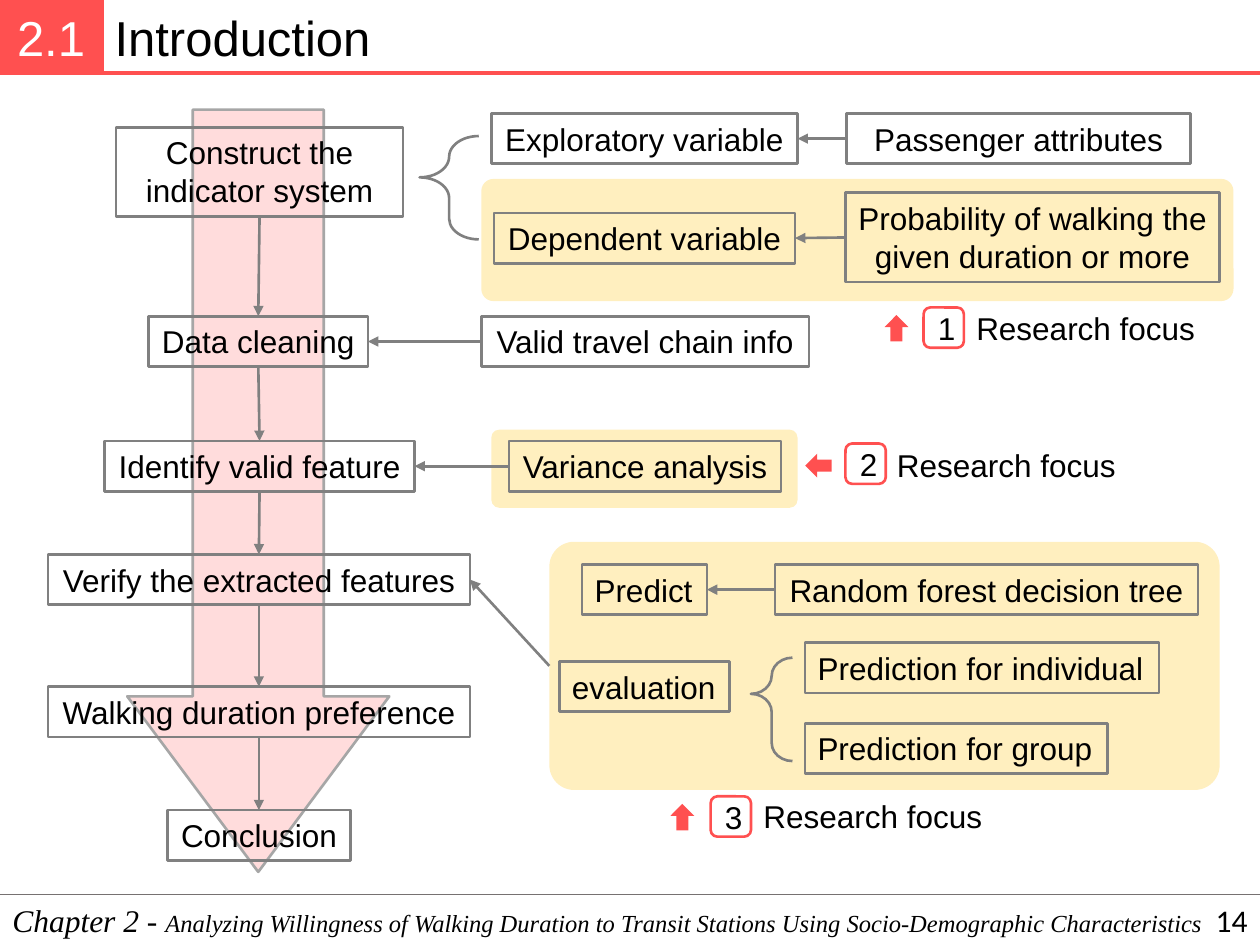
from dataclasses import dataclass

from lxml.etree import SubElement
from pptx import Presentation
from pptx.dml.color import RGBColor
from pptx.enum.shapes import MSO_CONNECTOR, MSO_SHAPE
from pptx.enum.text import MSO_ANCHOR, MSO_AUTO_SIZE, PP_ALIGN
from pptx.oxml.ns import qn
from pptx.util import Emu, Pt

EMU_PER_PX = 9144
TOP, LEFT, BOTTOM, RIGHT = range(4)


@dataclass(frozen=True)
class Theme:
    """Colours, fonts and type sizes of the slide."""
    accent: str = "FF5050"
    highlight: str = "FFC000"
    frame: str = "808080"
    arrow_edge: str = "A6A6A6"
    footer_rule: str = "767171"
    ink: str = "000000"
    paper: str = "FFFFFF"
    sans: str = "Arial"
    serif: str = "Times New Roman"
    number: str = "Calibri"
    heading: int = 28
    body: int = 18
    small: int = 14


THEME = Theme()


@dataclass(frozen=True)
class Area:
    """A rectangle in px, 100 px to the inch."""
    left: int
    top: int
    width: int
    height: int

    def emu(self):
        """Return the rectangle in EMU."""
        return [px(v) for v in (self.left, self.top, self.width, self.height)]


@dataclass(frozen=True)
class Step:
    """A framed box of the flow chart."""
    label: str
    area: Area
    align: PP_ALIGN = PP_ALIGN.CENTER


@dataclass(frozen=True)
class Focus:
    """A numbered research focus with its pointer."""
    number: str
    pointer: Area
    rotation: int
    badge: Area
    caption: Area


def px(value: int) -> Emu:
    """Turn px into EMU."""
    return Emu(value * EMU_PER_PX)


def rgb(color: str) -> RGBColor:
    """Return a colour object."""
    return RGBColor.from_string(color)


def add_run(paragraph, text: str, size=THEME.body, font=THEME.sans, color=THEME.ink, italic=None):
    """Append one formatted run."""
    run = paragraph.add_run()
    run.text = text
    run.font.size, run.font.name, run.font.italic = Pt(size), font, italic
    run.font.color.rgb = rgb(color)


def prepare_text(shape, align=PP_ALIGN.LEFT, anchor=MSO_ANCHOR.TOP, wrap=True):
    """Set up a text frame and return its first paragraph."""
    frame = shape.text_frame
    frame.word_wrap, frame.vertical_anchor = wrap, anchor
    frame.auto_size = MSO_AUTO_SIZE.NONE
    frame.paragraphs[0].alignment = align
    return frame.paragraphs[0]


def add_form(slide, kind, area: Area, fill=None, alpha=None, line=None, weight=1.5, adjust=()):
    """Draw a preset shape."""
    shape = slide.shapes.add_shape(kind, *area.emu())
    shape.shadow.inherit = False
    if fill:
        shape.fill.solid()
        shape.fill.fore_color.rgb = rgb(fill)
        if alpha:
            color = shape.fill._xPr.find(qn("a:solidFill"))[0]
            SubElement(color, qn("a:alpha"), val=str(alpha * 1000))
    else:
        shape.fill.background()
    if line:
        shape.line.color.rgb = rgb(line)
        shape.line.width = Pt(weight)
    else:
        shape.line.fill.background()
    for index, value in enumerate(adjust):
        shape.adjustments[index] = value
    return shape


def add_text(slide, area: Area, align=PP_ALIGN.LEFT, anchor=MSO_ANCHOR.TOP, wrap=True):
    """Add a text box and return its paragraph."""
    return prepare_text(slide.shapes.add_textbox(*area.emu()), align, anchor, wrap)


def add_line(slide, start=(0, 0), end=(0, 0), color=THEME.frame, weight=1.5):
    """Draw a straight line."""
    ends = [px(v) for v in (*start, *end)]
    line = slide.shapes.add_connector(MSO_CONNECTOR.STRAIGHT, *ends)
    line.line.color.rgb = rgb(color)
    line.line.width = Pt(weight)
    SubElement(line._element.spPr, qn("a:effectLst"))
    return line


def link(slide, source, source_side: int, target, target_side: int):
    """Join two shapes with an arrow."""
    arrow = add_line(slide)
    arrow.begin_connect(source, source_side)
    arrow.end_connect(target, target_side)
    SubElement(arrow.line._get_or_add_ln(), qn("a:tailEnd"), type="triangle")


def add_step(slide, step: Step):
    """Draw a framed box with its label."""
    shape = add_form(slide, MSO_SHAPE.RECTANGLE, step.area, line=THEME.frame)
    add_run(prepare_text(shape, step.align, wrap=step.area.height > 40), step.label)
    return shape


def add_focus(slide, focus: Focus):
    """Draw a pointer, its numbered badge and the caption."""
    add_form(slide, MSO_SHAPE.RIGHT_ARROW, focus.pointer, THEME.accent).rotation = focus.rotation
    badge = add_form(slide, MSO_SHAPE.ROUNDED_RECTANGLE, focus.badge, line=THEME.accent)
    add_run(prepare_text(badge, PP_ALIGN.CENTER, MSO_ANCHOR.MIDDLE), focus.number)
    add_run(add_text(slide, focus.caption, wrap=False), "Research focus")


MAIN_FLOW = [
    Step("Construct the indicator system", Area(92, 101, 228, 71)),
    Step("Data cleaning", Area(118, 251, 174, 40)),
    Step("Identify valid feature", Area(83, 350, 246, 40)),
    Step("Verify the extracted features", Area(38, 440, 335, 40)),
    Step("Walking duration preference", Area(38, 545, 335, 40)),
    Step("Conclusion", Area(133, 643, 145, 40)),
]
EXPLORATORY = Step("Exploratory variable", Area(390, 90, 243, 40))
PASSENGER = Step("Passenger attributes", Area(672, 90, 273, 40))
DEPENDENT = Step("Dependent variable", Area(392, 169, 239, 40))
PROBABILITY = Step("Probability of walking the given duration or more", Area(671, 153, 297, 71))
TRAVEL_CHAIN = Step("Valid travel chain info", Area(382, 251, 260, 40))
VARIANCE = Step("Variance analysis", Area(404, 350, 216, 40))
PREDICT = Step("Predict", Area(462, 448, 99, 40), PP_ALIGN.LEFT)
FOREST = Step("Random forest decision tree", Area(615, 448, 336, 40))
EVALUATION = [
    Step("evaluation", Area(444, 525, 135, 40), PP_ALIGN.LEFT),
    Step("Prediction for individual", Area(639, 510, 281, 40), PP_ALIGN.LEFT),
    Step("Prediction for group", Area(639, 574, 240, 40), PP_ALIGN.LEFT),
]
PANELS = [Area(382, 142, 597, 97), Area(390, 341, 243, 62), Area(436, 430, 532, 197)]
BRACES = [(Area(333, 108, 47, 82), 0.4), (Area(596, 522, 33, 82), 0.35)]
FOCUSES = [
    Focus("1", Area(701, 251, 21, 19), 270, Area(733, 244, 32, 32), Area(765, 240, 196, 40)),
    Focus("2", Area(639, 360, 21, 19), 180, Area(671, 352, 32, 32), Area(702, 349, 196, 40)),
    Focus("3", Area(531, 639, 21, 19), 270, Area(564, 632, 32, 32), Area(596, 628, 196, 40)),
]


def add_header(slide):
    """Fill the title and draw the section number and rule."""
    title = slide.shapes.title
    title.left, title.top, title.width, title.height = Area(81, 1, 919, 57).emu()
    add_run(prepare_text(title), "Introduction", THEME.heading)
    section = add_form(slide, MSO_SHAPE.RECTANGLE, Area(0, 0, 81, 58), THEME.accent,
                       line=THEME.accent, weight=2.25)
    frame = section.text_frame
    frame.margin_left = frame.margin_right = frame.margin_top = frame.margin_bottom = px(6)
    number = prepare_text(section, PP_ALIGN.CENTER, MSO_ANCHOR.MIDDLE)
    add_run(number, "2.1", THEME.heading, color=THEME.paper)
    add_line(slide, (81, 58), (1000, 58), THEME.accent, 2.25)


def add_footer(slide):
    """Draw the chapter line and page number."""
    chapter = add_text(slide, Area(0, 710, 1000, 40))
    add_run(chapter, "Chapter 2 - ", font=THEME.serif, italic=True)
    add_run(chapter, "Analyzing Willingness of Walking Duration to Transit Stations Using "
            "Socio-Demographic Characteristics", THEME.small, THEME.serif, italic=True)
    add_line(slide, (0, 710), (1000, 710), THEME.footer_rule, 1)
    page = add_text(slide, Area(775, 710, 225, 40), PP_ALIGN.RIGHT, MSO_ANCHOR.MIDDLE)
    add_run(page, "14", font=THEME.number)


def add_flow(slide):
    """Draw panels, boxes, braces and arrows of the flow chart."""
    panels = [add_form(slide, MSO_SHAPE.ROUNDED_RECTANGLE, area, THEME.highlight, 25, adjust=[0.1])
              for area in PANELS]
    add_form(slide, MSO_SHAPE.DOWN_ARROW, Area(101, 87, 208, 605), THEME.accent, 20,
             THEME.arrow_edge, adjust=[0.5, 0.67])
    main = [add_step(slide, step) for step in MAIN_FLOW]
    for upper, lower in zip(main, main[1:]):
        link(slide, upper, BOTTOM, lower, TOP)
    for source, target in [(PASSENGER, EXPLORATORY), (PROBABILITY, DEPENDENT), (FOREST, PREDICT)]:
        link(slide, add_step(slide, source), LEFT, add_step(slide, target), RIGHT)
    inputs = [add_step(slide, TRAVEL_CHAIN), add_step(slide, VARIANCE), panels[-1]]
    for source, target in zip(inputs, main[1:]):
        link(slide, source, LEFT, target, RIGHT)
    for step in EVALUATION:
        add_step(slide, step)
    for area, middle in BRACES:
        add_form(slide, MSO_SHAPE.LEFT_BRACE, area, line=THEME.frame, adjust=[0.61, middle])


def main():
    """Build and save the slide."""
    deck = Presentation()
    deck.slide_width, deck.slide_height = px(1000), px(750)
    slide = deck.slides.add_slide(deck.slide_layouts[5])
    add_flow(slide)
    add_header(slide)
    add_footer(slide)
    for focus in FOCUSES:
        add_focus(slide, focus)
    deck.save("out.pptx")


if __name__ == "__main__":
    main()
